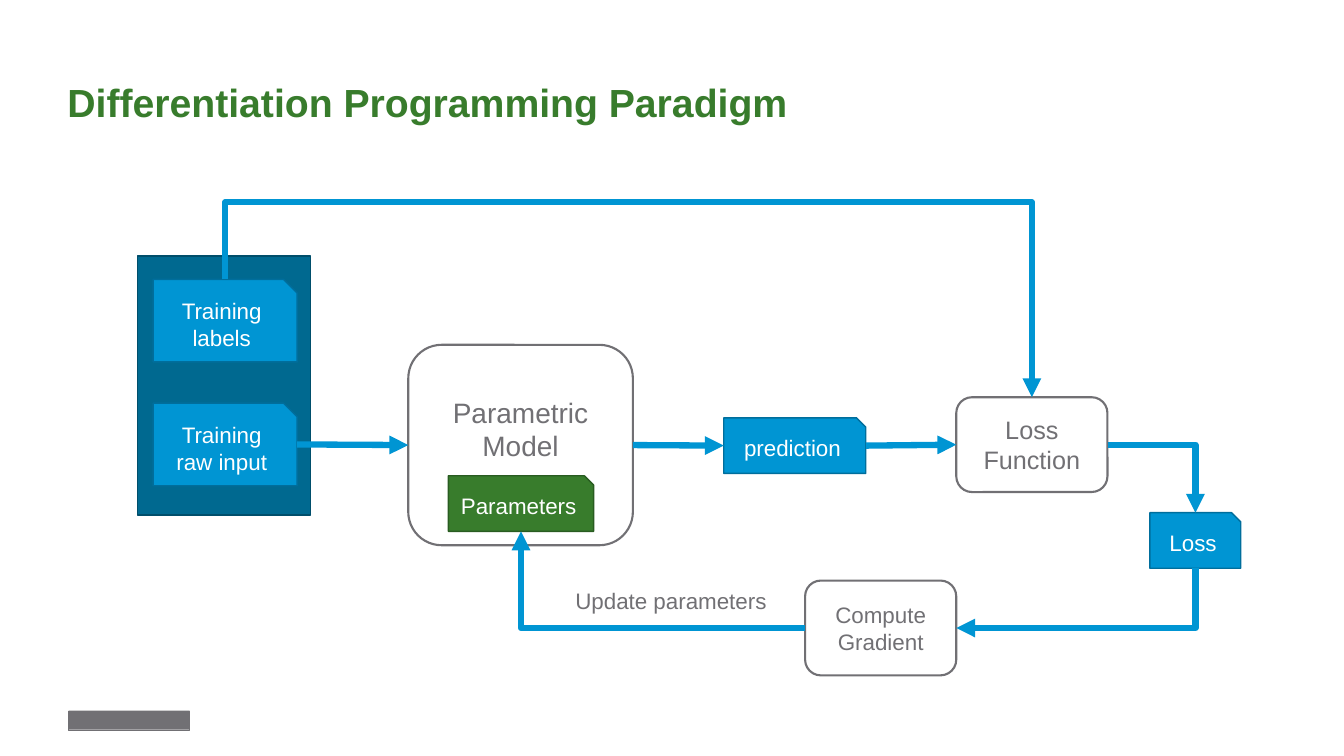
from dataclasses import dataclass

from lxml import etree
from pptx import Presentation
from pptx.dml.color import RGBColor
from pptx.enum.shapes import MSO_CONNECTOR, MSO_SHAPE
from pptx.enum.text import MSO_ANCHOR, PP_ALIGN
from pptx.oxml.ns import qn
from pptx.util import Cm, Pt

RECT = MSO_SHAPE.RECTANGLE
ROUNDED = MSO_SHAPE.ROUNDED_RECTANGLE
SNIPPED = MSO_SHAPE.SNIP_1_RECTANGLE
STRAIGHT = MSO_CONNECTOR.STRAIGHT
ELBOW = MSO_CONNECTOR.ELBOW
MIDDLE = MSO_ANCHOR.MIDDLE
BOTTOM = MSO_ANCHOR.BOTTOM
CENTER = PP_ALIGN.CENTER
LEFT = PP_ALIGN.LEFT

WHITE = RGBColor(0xFF, 0xFF, 0xFF)
GRAY = RGBColor(0x71, 0x70, 0x74)
BLUE = RGBColor(0x00, 0x95, 0xD3)
BLUE_EDGE = RGBColor(0x00, 0x6E, 0x9C)
NAVY = RGBColor(0x00, 0x69, 0x90)
NAVY_EDGE = RGBColor(0x00, 0x4E, 0x6B)
GREEN = RGBColor(0x38, 0x7C, 0x2C)
GREEN_EDGE = RGBColor(0x29, 0x5C, 0x21)
FONT = "Arial"


@dataclass(frozen=True)
class Style:
    outline: int
    fill: RGBColor
    edge: RGBColor
    edge_pt: float
    ink: RGBColor


PANEL = Style(RECT, NAVY, NAVY_EDGE, 1, WHITE)
DATA = Style(SNIPPED, BLUE, BLUE_EDGE, 1, WHITE)
WEIGHTS = Style(SNIPPED, GREEN, GREEN_EDGE, 1, WHITE)
STEP = Style(ROUNDED, WHITE, GRAY, 1.5, GRAY)
MARK = Style(RECT, GRAY, GRAY, 0.25, WHITE)


@dataclass(frozen=True)
class Box:
    style: Style
    left: float
    top: float
    width: float
    height: float
    text: str = ""
    size: int = 16
    bottom_inset: float = 0.13

    def site(self, side: str) -> tuple[float, float]:
        middle_x = self.left + self.width / 2
        middle_y = self.top + self.height / 2
        return {
            "top": (middle_x, self.top),
            "left": (self.left, middle_y),
            "bottom": (middle_x, self.top + self.height),
            "right": (self.left + self.width, middle_y),
        }[side]


@dataclass(frozen=True)
class Link:
    source: Box
    source_side: str
    target: Box
    target_side: str
    preset: str = "line"
    rotation: int = 0
    flipped: bool = False
    bend: int | None = None


def write(frame, text: str, size: int, ink: RGBColor, align: int, bold: bool = False) -> None:
    frame.text = text
    for paragraph in frame.paragraphs:
        paragraph.alignment = align
        paragraph.font.name = FONT
        paragraph.font.size = Pt(size)
        paragraph.font.bold = bold
        paragraph.font.color.rgb = ink


def draw_box(shapes, box: Box) -> None:
    style = box.style
    shape = shapes.add_shape(
        style.outline, Cm(box.left), Cm(box.top), Cm(box.width), Cm(box.height)
    )
    shape.shadow.inherit = False
    shape.fill.solid()
    shape.fill.fore_color.rgb = style.fill
    shape.line.color.rgb = style.edge
    shape.line.width = Pt(style.edge_pt)
    if box.text:
        frame = shape.text_frame
        frame.word_wrap = True
        frame.vertical_anchor = MIDDLE
        frame.margin_bottom = Cm(box.bottom_inset)
        write(frame, box.text, box.size, style.ink, CENTER)


def draw_link(shapes, link: Link) -> None:
    x1, y1 = link.source.site(link.source_side)
    x2, y2 = link.target.site(link.target_side)
    if link.preset == "line":
        connector = shapes.add_connector(STRAIGHT, Cm(x1), Cm(y1), Cm(x2), Cm(y2))
    else:
        width, height = abs(x2 - x1), abs(y2 - y1)
        if link.rotation in (90, 270):
            width, height = height, width
        left, top = (x1 + x2 - width) / 2, (y1 + y2 - height) / 2
        start, end = left, left + width
        if link.flipped:
            start, end = end, start
        connector = shapes.add_connector(ELBOW, Cm(start), Cm(top), Cm(end), Cm(top + height))
    properties = connector._element.spPr
    if link.preset != "line":
        properties.find(qn("a:xfrm")).set("rot", str(link.rotation * 60000))
        geometry = properties.find(qn("a:prstGeom"))
        geometry.set("prst", link.preset)
        if link.bend is not None:
            guides = geometry.find(qn("a:avLst"))
            etree.SubElement(guides, qn("a:gd"), name="adj1", fmla=f"val {link.bend}")
    connector.line.color.rgb = BLUE
    connector.line.width = Pt(4.5)
    etree.SubElement(properties.find(qn("a:ln")), qn("a:tailEnd"), type="triangle")
    etree.SubElement(properties, qn("a:effectLst"))


def main() -> None:
    presentation = Presentation()
    presentation.slide_width = Cm(33.87)
    presentation.slide_height = Cm(19.05)
    shapes = presentation.slides.add_slide(presentation.slide_layouts[6]).shapes

    title = shapes.add_textbox(Cm(1.7), Cm(0.91), Cm(30.48), Cm(2.26)).text_frame
    title.word_wrap = True
    title.vertical_anchor = BOTTOM
    title.margin_left = title.margin_right = title.margin_top = title.margin_bottom = 0
    write(title, "Differentiation Programming Paradigm", 28, GREEN, LEFT, bold=True)
    title.paragraphs[0].line_spacing = 0.9

    brand_mark = Box(MARK, 1.73, 17.91, 3.05, 0.48)
    training_set = Box(PANEL, 3.46, 6.45, 4.36, 6.53)
    labels = Box(DATA, 3.86, 7.04, 3.63, 2.08, "Training\nlabels")
    raw_input = Box(DATA, 3.86, 10.16, 3.63, 2.08, "Training\nraw input")
    model = Box(STEP, 10.29, 8.69, 5.66, 5.05, "Parametric\nModel", 20, 0.94)
    parameters = Box(WEIGHTS, 11.3, 11.99, 3.66, 1.4, "Parameters")
    prediction = Box(DATA, 18.24, 10.53, 3.58, 1.4, "prediction")
    loss_function = Box(STEP, 24.1, 10.01, 3.81, 2.39, "Loss Function", 18)
    loss = Box(DATA, 28.98, 12.92, 2.29, 1.4, "Loss")
    gradient = Box(STEP, 20.29, 14.63, 3.81, 2.39, "Compute Gradient")
    for box in (
        brand_mark, training_set, labels, raw_input, model,
        parameters, prediction, loss_function, loss, gradient,
    ):
        draw_box(shapes, box)

    for link in (
        Link(raw_input, "right", model, "left"),
        Link(model, "right", prediction, "left"),
        Link(prediction, "right", loss_function, "left"),
        Link(labels, "top", loss_function, "top", "bentConnector3", 270, True, -65500),
        Link(loss_function, "right", loss, "top", "bentConnector2"),
        Link(loss, "bottom", gradient, "right", "bentConnector2", 90),
        Link(gradient, "left", parameters, "bottom", "bentConnector2", 180),
    ):
        draw_link(shapes, link)

    update = shapes.add_textbox(Cm(14.25), Cm(14.68), Cm(5.38), Cm(0.94)).text_frame
    update.word_wrap = False
    write(update, "Update parameters", 16, GRAY, LEFT)

    presentation.save("out.pptx")


if __name__ == "__main__":
    main()
